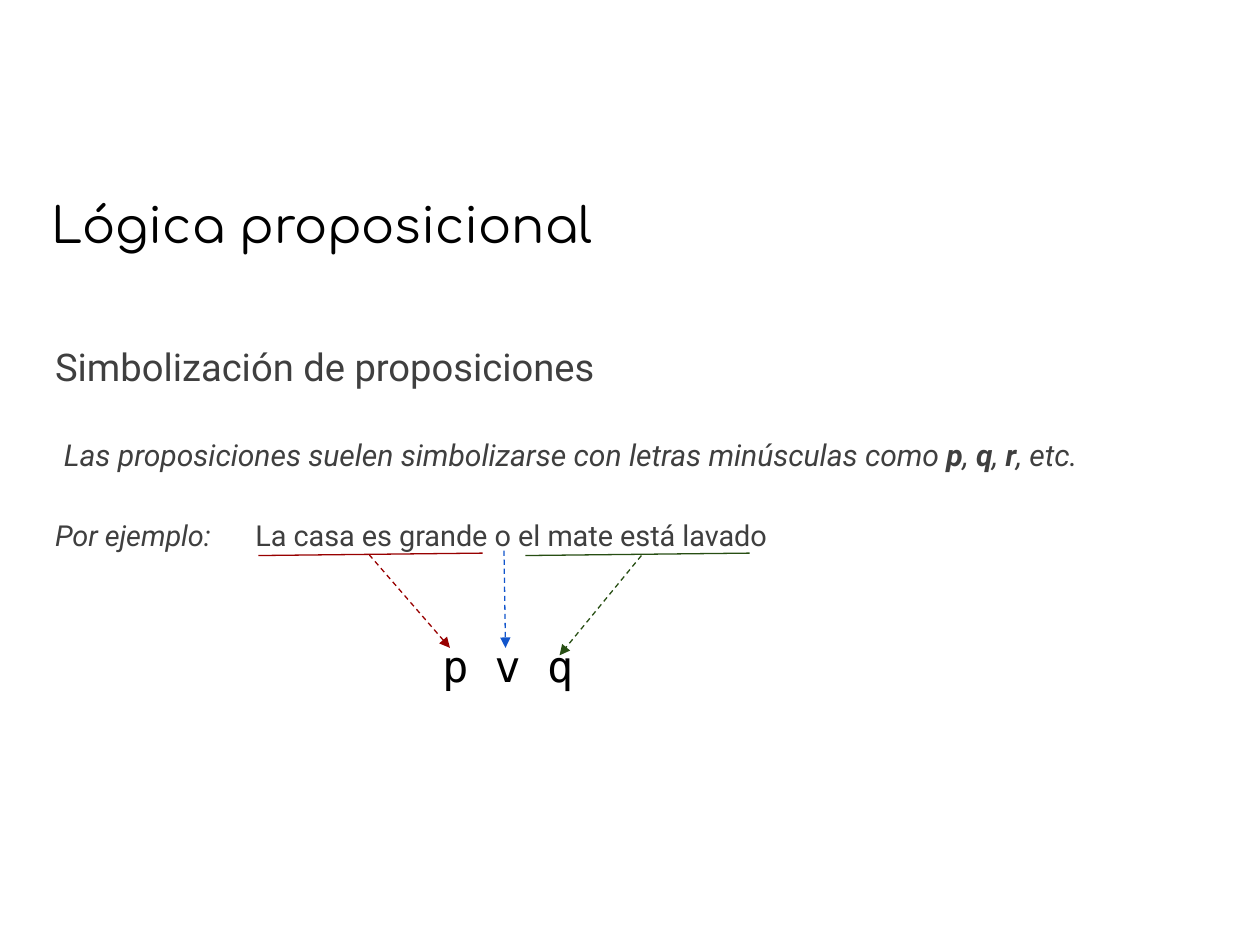
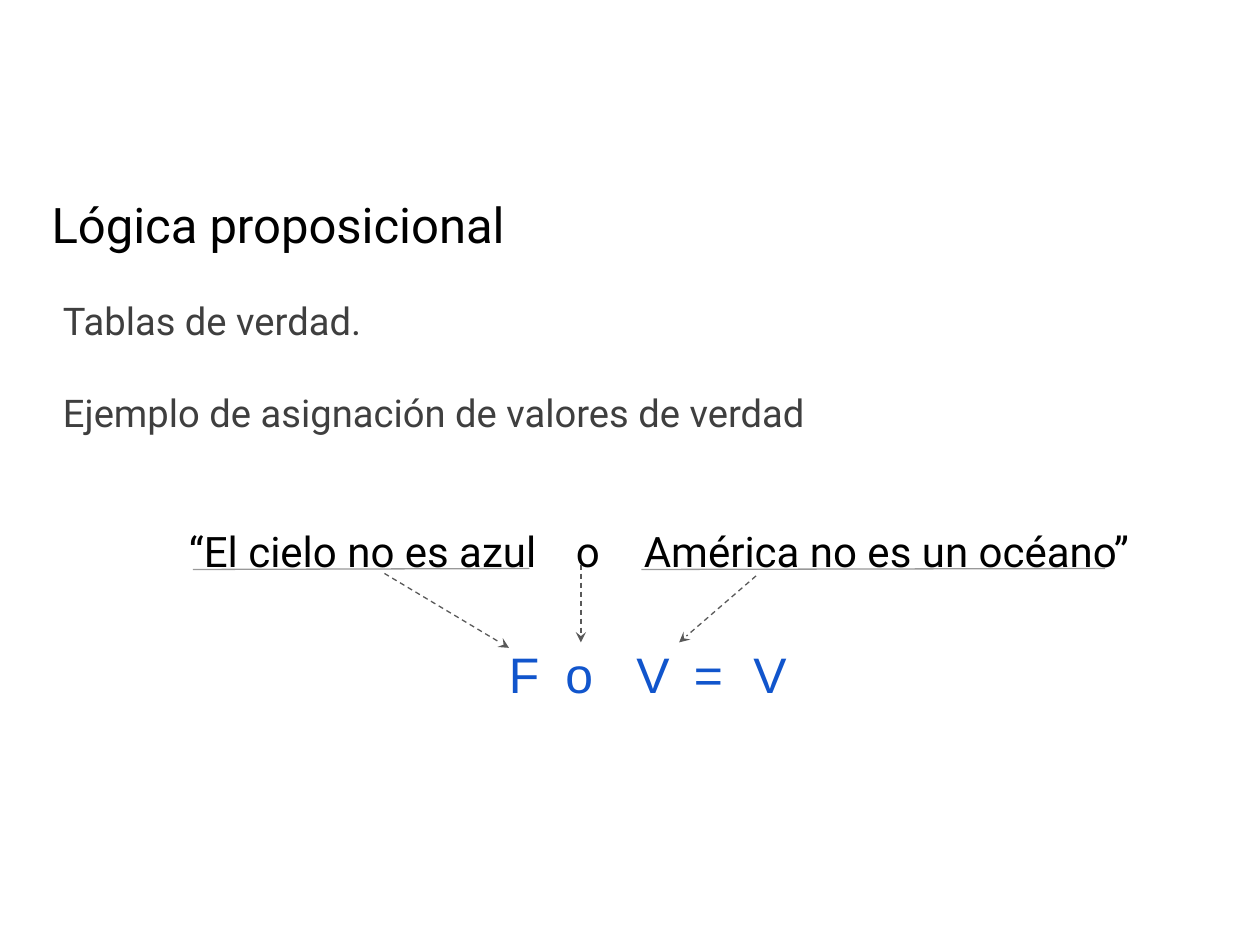
"""Build two slides on propositional logic: symbolising propositions and truth values."""
import pptx
import pptx.dml.color
import pptx.enum.dml
import pptx.enum.shapes
import pptx.enum.text
import pptx.oxml.ns
import pptx.util
from lxml import etree

Cm, Pt = pptx.util.Cm, pptx.util.Pt

COLORS = {
    "black": "000000", "text": "3F3F3F", "red": "980000", "green": "274E13",
    "blue": "1155CC", "rule": "999999", "arrow": "595959",
}
TITLE = "Lógica proposicional"
TITLE_BOX = (0.86, 3.61, 23.67, 1.6)
TITLE_INSETS = (0.18, 0.1, 0.18, 0.1)
BODY_INSETS = (0.25, 0.3, 0.25, 0.25)
SYMBOL_INSETS = (0.18, 0.18, 0.18, 0.18)

SLIDES = [
    {
        "title_font": "Comfortaa",
        "body_box": (0.86, 6.63, 22.17, 4.93),
        "body": [
            {"runs": [("Simbolización de proposiciones", "")], "size": 21.8},
            {"runs": [("Las proposiciones suelen simbolizarse con letras minúsculas como ", "i"),
                      ("p", "bi"), (",", "i"), (" q", "bi"), (",", "i"), (" r", "bi"), (", etc.", "i")],
             "size": 17.2, "before": 26.7, "indent": 0.18},
            {"runs": [("Por ejemplo:", "i"), ("\tLa casa es grande o el mate está lavado", "")],
             "size": 16.5, "before": 25.6, "tabs": [4.04]},
        ],
        "symbols": {"runs": [("p v q", "")], "size": 24.8, "font": "DejaVu Sans Mono", "color": "black"},
        "symbols_box": (8.74, 12.7, 3.48, 1.35),
        "underlines": [("red", 5.21, 11.2, 9.73, 11.15), ("green", 10.59, 11.2, 15.11, 11.15)],
        "arrows": [("red", 7.44, 11.18, 9.07, 13.06), ("blue", 10.16, 11.1, 10.19, 13.06),
                   ("green", 12.93, 11.2, 11.28, 13.21)],
        "arrowhead": "triangle",
    },
    {
        "title_font": "Roboto",
        "body_box": (1.02, 5.69, 22.17, 5.94),
        "body": [
            {"runs": [("Tablas de verdad.", "")], "size": 21.8},
            {"runs": [("Ejemplo de asignación de valores de verdad", "")], "size": 21.8, "before": 26.5},
            {"runs": [("\t“El cielo no es azul\to\tAmérica no es un océano”", "")],
             "size": 24, "before": 51.8, "color": "black", "tabs": [2.54, 10.34, 11.71]},
        ],
        "symbols": {"runs": [("F\to\tV\t=\tV", "")], "size": 28.5, "font": "Arial", "color": "blue",
                    "tabs": [1.14, 2.57, 3.73, 4.93]},
        "symbols_box": (10.08, 12.8, 7.21, 1.75),
        "underlines": [("rule", 3.89, 11.48, 10.67, 11.46), ("rule", 12.93, 11.48, 22.28, 11.46)],
        "arrows": [("arrow", 11.71, 11.38, 11.71, 12.95), ("arrow", 7.75, 11.56, 10.26, 13.06),
                   ("arrow", 15.24, 11.61, 13.69, 12.95)],
        "arrowhead": "stealth",
    },
]


def rgb(name):
    return pptx.dml.color.RGBColor.from_string(COLORS[name])


def add_child(parent, tag, **attributes):
    return etree.SubElement(parent, pptx.oxml.ns.qn(tag), attributes)


def fill_paragraph(paragraph, content):
    paragraph.space_before = Pt(content.get("before", 0))
    properties = paragraph._p.get_or_add_pPr()
    properties.set("marL", str(Cm(content.get("indent", 0))))
    if "tabs" in content:
        tab_list = add_child(properties, "a:tabLst")
        for position in content["tabs"]:
            add_child(tab_list, "a:tab", pos=str(Cm(position)), algn="l")
    for text, style in content["runs"]:
        run = paragraph.add_run()
        run.text = text
        run.font.name = content.get("font", "Roboto")
        run.font.size = Pt(content["size"])
        run.font.bold = "b" in style
        run.font.italic = "i" in style
        run.font.color.rgb = rgb(content.get("color", "text"))


def add_text(shapes, box, insets, contents, anchor=pptx.enum.text.MSO_ANCHOR.TOP):
    text_frame = shapes.add_textbox(*map(Cm, box)).text_frame
    text_frame.word_wrap = True
    text_frame.vertical_anchor = anchor
    (text_frame.margin_left, text_frame.margin_top,
     text_frame.margin_right, text_frame.margin_bottom) = map(Cm, insets)
    for index, content in enumerate(contents):
        paragraph = text_frame.add_paragraph() if index else text_frame.paragraphs[0]
        fill_paragraph(paragraph, content)


def add_line(shapes, color, *ends, arrowhead=None):
    connector = shapes.add_connector(pptx.enum.shapes.MSO_CONNECTOR.STRAIGHT, *map(Cm, ends))
    connector.line.color.rgb = rgb(color)
    connector.line.width = Pt(0.75)
    if arrowhead:
        connector.line.dash_style = pptx.enum.dml.MSO_LINE.DASH
        add_child(connector.line._get_or_add_ln(), "a:tailEnd", type=arrowhead)
    add_child(connector._element.spPr, "a:effectLst")


def build_slide(presentation, content):
    slide = presentation.slides.add_slide(presentation.slide_layouts[6])
    title = {"runs": [(TITLE, "")], "size": 28, "font": content["title_font"], "color": "black"}
    add_text(slide.shapes, content["body_box"], BODY_INSETS, content["body"])
    add_text(slide.shapes, TITLE_BOX, TITLE_INSETS, [title], pptx.enum.text.MSO_ANCHOR.BOTTOM)
    diagram = slide.shapes.add_group_shape().shapes
    add_text(diagram, content["symbols_box"], SYMBOL_INSETS, [content["symbols"]])
    for underline in content["underlines"]:
        add_line(diagram, *underline)
    for arrow in content["arrows"]:
        add_line(diagram, *arrow, arrowhead=content["arrowhead"])


def main():
    presentation = pptx.Presentation()
    presentation.slide_width, presentation.slide_height = Cm(25.4), Cm(19.05)
    for content in SLIDES:
        build_slide(presentation, content)
    presentation.save("out.pptx")


if __name__ == "__main__":
    main()
